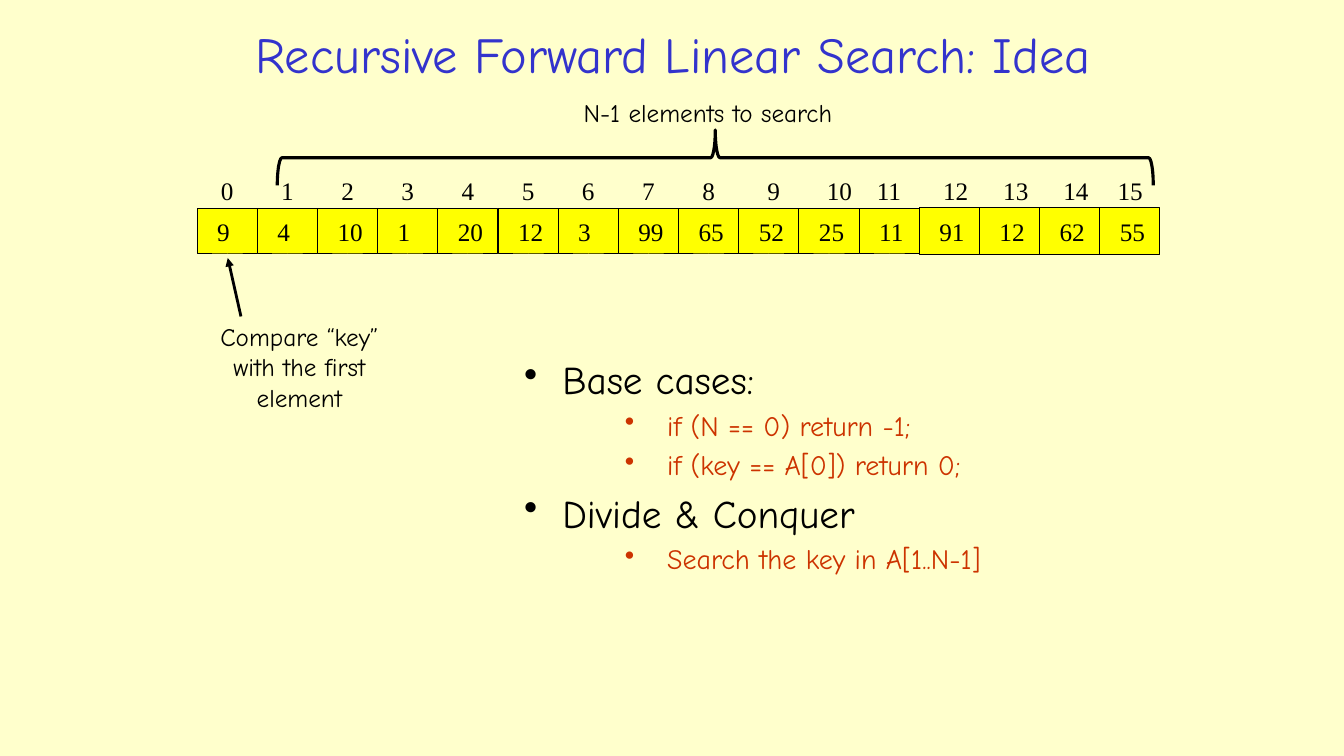
import collections

import lxml.etree
import pptx
import pptx.dml.color
import pptx.enum.shapes
import pptx.enum.text
import pptx.oxml.ns
import pptx.util

SHAPES = pptx.enum.shapes.MSO_SHAPE
ALIGN = pptx.enum.text.PP_ALIGN
ANCHOR = pptx.enum.text.MSO_ANCHOR
SLIDE_WIDTH = pptx.util.Inches(13.33)
SLIDE_HEIGHT = pptx.util.Inches(7.5)
HAND, SERIF = "Comic Neue", "Times New Roman"
CREAM, YELLOW, BLACK, BLUE, RED = "FFFFCC", "FFFF00", "000000", "3333CC", "CC3300"

VALUES = [9, 4, 10, 1, 20, 12, 3, 99, 65, 52, 25, 11, 91, 12, 62, 55]
INDEX_NUDGES = {9: 0.08, 10: 0.07, 11: -0.1, 15: -0.1}
OUTLINE = [
    ("Base cases:", ["if (N == 0) return -1;", "if (key == A[0]) return 0;"]),
    ("Divide & Conquer", ["Search the key in A[1..N-1]"]),
]

Box = collections.namedtuple("Box", "left top width height")


def share(left, top, width, height):
    return Box(int(SLIDE_WIDTH * left / 100), int(SLIDE_HEIGHT * top / 100),
               int(SLIDE_WIDTH * width / 100), int(SLIDE_HEIGHT * height / 100))


def color(hex_code):
    return pptx.dml.color.RGBColor.from_string(hex_code)


def style(paragraph, size, face, hex_code, align=ALIGN.LEFT):
    paragraph.alignment = align
    paragraph.font.size = pptx.util.Pt(size)
    paragraph.font.name = face
    paragraph.font.color.rgb = color(hex_code)


def add_label(slide, box, text, size=18, face=HAND, hex_code=BLACK,
              align=ALIGN.LEFT, anchor=ANCHOR.TOP):
    frame = slide.shapes.add_textbox(*box).text_frame
    frame.word_wrap = True
    frame.vertical_anchor = anchor
    frame.text = text
    style(frame.paragraphs[0], size, face, hex_code, align)


def add_array(slide, box):
    pitch = box.width / len(VALUES)
    for index, value in enumerate(VALUES):
        left = box.left + pitch * index
        raised = 0.02 * box.height if index >= 12 else 0
        cell = slide.shapes.add_shape(
            SHAPES.RECTANGLE, int(left), int(box.top - raised),
            int(pitch), int(box.height + 2 * raised))
        cell.shadow.inherit = False
        cell.fill.solid()
        cell.fill.fore_color.rgb = color(YELLOW)
        cell.line.color.rgb = color(BLACK)
        cell.line.width = pptx.util.Pt(0.75)
        frame = cell.text_frame
        frame.margin_left, frame.margin_right = int(pitch / 3), 0
        frame.vertical_anchor = ANCHOR.MIDDLE
        frame.text = str(value)
        style(frame.paragraphs[0], 18, SERIF, BLACK)

        nudge = 0.23 + INDEX_NUDGES.get(index, 0)
        add_label(slide, Box(int(left + pitch * nudge), int(box.top - 0.84 * box.height),
                             int(pitch), int(0.89 * box.height)), str(index), face=SERIF)


def add_brace(slide, box):
    center_x = box.left + box.width // 2
    center_y = box.top + box.height // 2
    brace = slide.shapes.add_shape(
        SHAPES.RIGHT_BRACE, center_x - box.height // 2, center_y - box.width // 2,
        box.height, box.width)
    brace.rotation = 270
    brace.adjustments[0] = 0.084
    brace.adjustments[1] = 0.5
    brace.shadow.inherit = False
    brace.fill.background()
    brace.line.color.rgb = color(BLACK)
    brace.line.width = pptx.util.Pt(2.25)


def add_arrow(slide, box):
    arrow = slide.shapes.add_connector(
        pptx.enum.shapes.MSO_CONNECTOR.STRAIGHT,
        box.left + box.width, box.top + box.height, box.left, box.top)
    arrow.line.color.rgb = color(BLACK)
    arrow.line.width = pptx.util.Pt(2)
    qn = pptx.oxml.ns.qn
    lxml.etree.SubElement(arrow.line._get_or_add_ln(), qn("a:tailEnd"), type="triangle")
    lxml.etree.SubElement(arrow._element.spPr, qn("a:effectLst"))


def add_bullet(paragraph, text, level, indent, hanging, size, hex_code):
    paragraph.text = text
    paragraph.level = level
    properties = paragraph._p.get_or_add_pPr()
    properties.set("marL", str(pptx.util.Inches(indent)))
    properties.set("indent", str(-pptx.util.Inches(hanging)))
    lxml.etree.SubElement(properties, pptx.oxml.ns.qn("a:buChar"), char="•")
    style(paragraph, size, HAND, hex_code)


def add_outline(slide, box):
    frame = slide.shapes.add_textbox(*box).text_frame
    frame.word_wrap = True
    entries = []
    for heading, steps in OUTLINE:
        entries.append((heading, 0, 0.38, 0.38, 28, BLACK))
        entries += [(step, 1, 1.42, 0.42, 20, RED) for step in steps]
    for position, entry in enumerate(entries):
        paragraph = frame.add_paragraph() if position else frame.paragraphs[0]
        add_bullet(paragraph, *entry)
        if position:
            paragraph.space_before = pptx.util.Pt(0.2 * entry[4])


def add_search_slide(deck):
    slide = deck.slides.add_slide(deck.slide_layouts[6])
    slide.background.fill.solid()
    slide.background.fill.fore_color.rgb = color(CREAM)
    add_label(slide, share(13.8, 2, 72.53, 10.13), "Recursive Forward Linear Search: Idea",
              36, HAND, BLUE, ALIGN.CENTER, ANCHOR.MIDDLE)
    add_array(slide, share(14.67, 27.6, 71.64, 6))
    add_brace(slide, share(20.63, 17.2, 65.18, 7.33))
    add_label(slide, share(42.68, 12.27, 23.93, 5.33), "N-1 elements to search")
    add_arrow(slide, share(16.95, 34.13, 0.98, 7.73))
    add_label(slide, share(14.7, 41.87, 15.15, 13.47),
              "Compare “key” with the first element", align=ALIGN.CENTER)
    add_outline(slide, share(38.25, 46.4, 48.38, 39.47))


def main():
    deck = pptx.Presentation()
    deck.slide_width = SLIDE_WIDTH
    deck.slide_height = SLIDE_HEIGHT
    add_search_slide(deck)
    deck.save("out.pptx")


if __name__ == "__main__":
    main()
